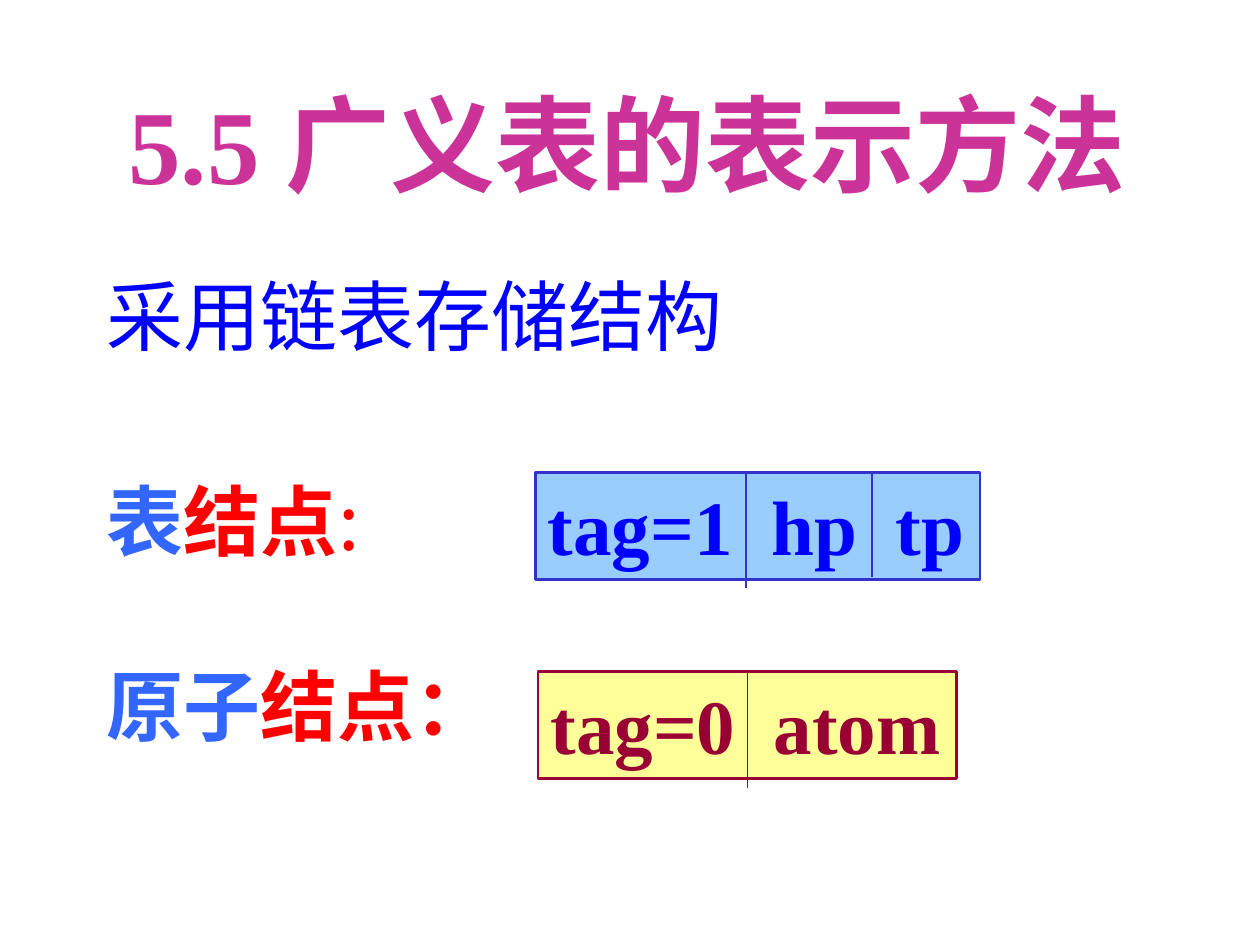
from lxml import etree
from pptx import Presentation
from pptx import util as u
from pptx.dml.color import RGBColor
from pptx.enum import shapes, text
from pptx.oxml.ns import qn

SERIF = "Times New Roman"
SANS = "Noto Sans CJK SC"


def color(value):
    """Turn a hex string into a colour."""
    return RGBColor.from_string(value)


def set_values(target, values):
    """Set attributes of an object from a dict."""
    for name, value in values.items():
        setattr(target, name, value)


def write_text(shape, paragraphs, size):
    """Write paragraphs of (words, hex colour, bold, font) runs."""
    frame = shape.text_frame
    set_values(frame, {"word_wrap": False, "vertical_anchor": text.MSO_ANCHOR.TOP,
                       "auto_size": text.MSO_AUTO_SIZE.SHAPE_TO_FIT_TEXT})
    for index, runs in enumerate(paragraphs):
        paragraph = frame.paragraphs[0] if index == 0 else frame.add_paragraph()
        set_values(paragraph, {"alignment": text.PP_ALIGN.LEFT,
                               "line_spacing": u.Pt(size * 1.2)})
        if index:
            paragraph.space_before = u.Pt(size * 1.2)
        for words, hex_color, bold, font in runs:
            run = paragraph.add_run()
            run.text = words
            set_values(run.font, {"size": u.Pt(size), "bold": bold, "name": font})
            run.font.color.rgb = color(hex_color)
            east_asian = etree.SubElement(run.font._element, qn("a:ea"))
            east_asian.set("typeface", SANS)


def add_text(slide, left, top, width, height, paragraphs, size):
    """Add a text box."""
    box = slide.shapes.add_textbox(*map(u.Inches, (left, top, width, height)))
    write_text(box, paragraphs, size)


def add_divider(slide, x, top, bottom, hex_color):
    """Add a vertical line between two fields of a node."""
    line = slide.shapes.add_connector(
        shapes.MSO_CONNECTOR.STRAIGHT, *map(u.Inches, (x, top, x, bottom)))
    line.line.color.rgb = color(hex_color)
    line.line.width = u.Pt(0.75)
    etree.SubElement(line._element.spPr, qn("a:effectLst"))


def add_node(slide, left, top, width, words, fill, border, ink, dividers):
    """Add a list node with its (x, length) dividers."""
    node = slide.shapes.add_shape(
        shapes.MSO_SHAPE.RECTANGLE, *map(u.Inches, (left, top, width, 0.85)))
    node.shadow.inherit = False
    node.fill.solid()
    node.fill.fore_color.rgb = color(fill)
    node.line.color.rgb = color(border)
    node.line.width = u.Pt(1.5)
    write_text(node, [[(words, ink, True, SERIF)]], 44)
    for x, length in dividers:
        add_divider(slide, x, top, top + length, border)


def main():
    """Build the slide."""
    presentation = Presentation()
    set_values(presentation, {"slide_width": u.Inches(10), "slide_height": u.Inches(7.5)})
    slide = presentation.slides.add_slide(presentation.slide_layouts[6])
    add_text(slide, 0.92, 0.58, 8.38, 1.1,
             [[("5.5 ", "CC3399", True, SERIF),
               ("广义表的表示方法", "CC3399", True, SANS)]], 60)
    add_text(slide, 0.75, 2.08, 5.09, 0.83,
             [[("采用链表存储结构", "0000FF", False, SANS)]], 44)
    add_text(slide, 0.75, 3.71, 3.26, 2.3,
             [[("表", "3366FF", True, SANS), ("结点", "FF0000", True, SANS),
               (":", "FF0000", False, SANS)],
              [("原子", "3366FF", True, SERIF), ("结点：", "FF0000", True, SERIF)]], 44)
    add_node(slide, 4.27, 5.33, 3.32, "tag=0  atom", "FFFF99", "990033", "990033",
             [(5.93, 0.92)])
    add_node(slide, 4.25, 3.75, 3.53, "tag=1  hp  tp", "99CCFF", "3333CC", "0000FF",
             [(5.92, 0.92), (6.92, 0.83)])
    presentation.save("out.pptx")


if __name__ == "__main__":
    main()
